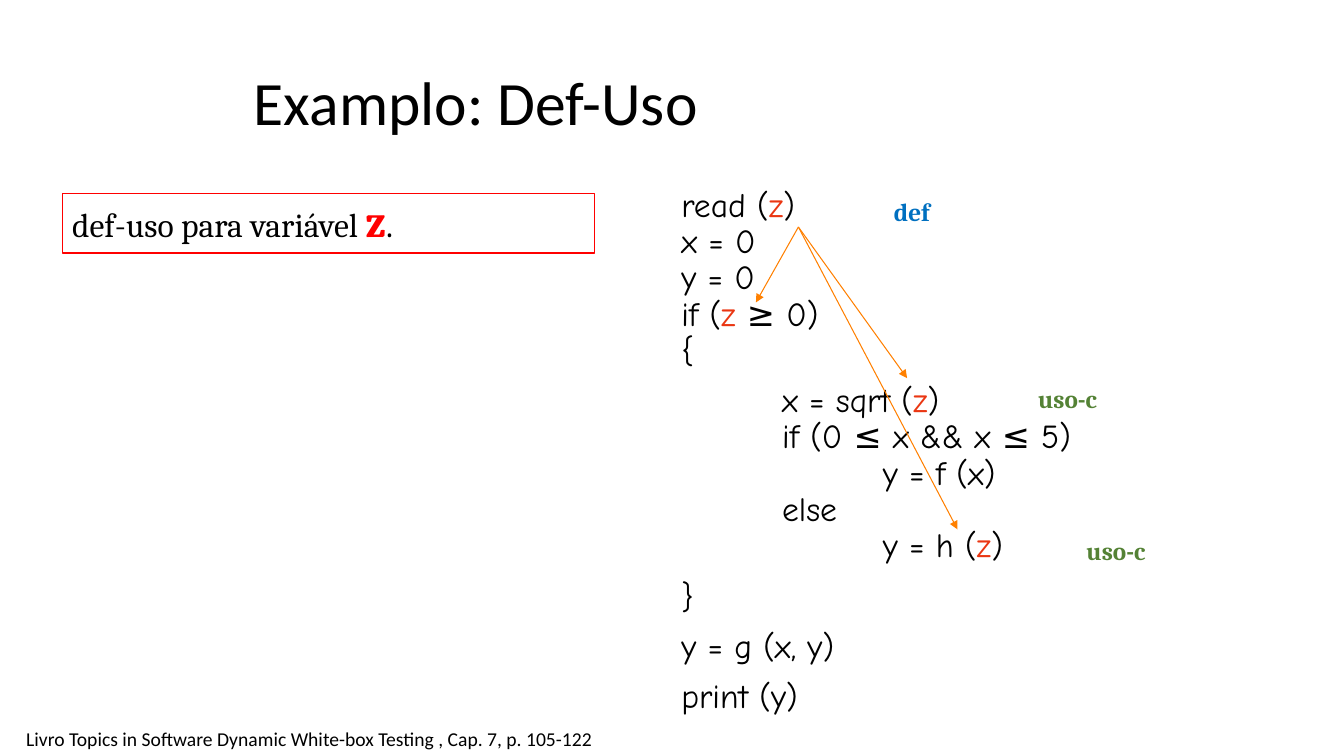
from lxml.etree import SubElement
from pptx import Presentation
from pptx.dml.color import RGBColor
from pptx.enum.shapes import MSO_CONNECTOR, MSO_SHAPE
from pptx.enum.text import MSO_ANCHOR, PP_ALIGN
from pptx.oxml.ns import qn
from pptx.util import Cm, Pt


def color(value):
    return RGBColor.from_string(value)


class DefUseSlide:
    """Holds the slide and the style of its titles, code, labels and arrows."""

    BLACK, RED, VARIABLE, ARROW = "000000", "FF0000", "EA3612", "FF8000"
    DEFINITION, USE = "0070C0", "548235"
    BASE_INDENT, LEVEL_INDENT = 0.64, 2.54

    def __init__(self, presentation):
        self.slide = presentation.slides.add_slide(presentation.slide_layouts[6])

    def style(self, font, size=None, name=None, ink=BLACK, bold=None):
        if size:
            font.size = Pt(size)
        if name:
            font.name = name
        font.bold = bold
        font.color.rgb = color(ink)

    def frame(self, box, wrap=True):
        frame = self.slide.shapes.add_textbox(*map(Cm, box)).text_frame
        frame.word_wrap = wrap
        return frame

    def text(self, box, words, size, name="Calibri", ink=BLACK, bold=None, wrap=False):
        frame = self.frame(box, wrap)
        line = frame.paragraphs[0]
        line.text = words
        self.style(line.font, size, name, ink, bold)
        return frame

    def title(self, box, words):
        heading = self.text(box, words, 44, wrap=True)
        heading.vertical_anchor = MSO_ANCHOR.MIDDLE
        heading.paragraphs[0].line_spacing = 0.9

    def code(self, box, blocks):
        frame = self.frame(box)
        frame.margin_right = 0
        line = frame.paragraphs[0]
        for block_number, block in enumerate(blocks):
            for line_number, (level, words) in enumerate(block):
                if block_number or line_number:
                    line = frame.add_paragraph()
                line.line_spacing = 0.9
                line.space_before = Pt(10 if block_number and not line_number else 0)
                indent = Cm(self.BASE_INDENT + level * self.LEVEL_INDENT)
                line._p.get_or_add_pPr().set("marL", str(indent))
                self.style(line.font, 24, "Comic Neue")
                before, variable, after = words.partition("z")
                for part in filter(None, (before, variable, after)):
                    run = line.add_run()
                    run.text = part
                    if part == "z":
                        run.font.color.rgb = color(self.VARIABLE)

    def framed_topic(self, box, before, variable, after):
        topic = self.slide.shapes.add_shape(MSO_SHAPE.RECTANGLE, *map(Cm, box))
        topic.shadow.inherit = False
        topic.fill.background()
        topic.line.color.rgb = color(self.RED)
        topic.line.width = Pt(1)
        topic.text_frame.word_wrap = True
        topic.text_frame.vertical_anchor = MSO_ANCHOR.TOP
        line = topic.text_frame.paragraphs[0]
        line.alignment = PP_ALIGN.LEFT
        line.line_spacing = 0.9
        line.font.name = "Cambria"
        for words, size, ink, bold in (
            (before, 24, self.BLACK, None),
            (variable, 32, self.RED, True),
            (after, 24, self.BLACK, None),
        ):
            run = line.add_run()
            run.text = words
            self.style(run.font, size, "Cambria", ink, bold)

    def label(self, box, words, ink):
        self.text(box, words, 18, "Cambria", ink, True)

    def arrow(self, start, end):
        link = self.slide.shapes.add_connector(
            MSO_CONNECTOR.STRAIGHT, *map(Cm, (*start, *end))
        )
        link.line.color.rgb = color(self.ARROW)
        link.line.width = Pt(0.75)
        SubElement(link.line._get_or_add_ln(), qn("a:tailEnd"), type="triangle")
        SubElement(link._element.spPr, qn("a:effectLst"))


def main():
    presentation = Presentation()
    presentation.slide_width, presentation.slide_height = Cm(33.87), Cm(19.05)
    page = DefUseSlide(presentation)
    page.title((6.15, 1.07, 21.59, 3.18), "Examplo: Def-Uso")
    page.code(
        (16.28, 4.62, 11.02, 13.59),
        [
            [(0, "read (z)"), (0, "x = 0"), (0, "y = 0"), (0, "if (z ≥ 0)"), (0, "{")],
            [
                (1, "x = sqrt (z)"),
                (1, "if (0 ≤ x && x ≤ 5)"),
                (2, "y = f (x)"),
                (1, "else"),
                (2, "y = h (z)"),
            ],
            [(0, "}")],
            [(0, "y = g (x, y)")],
            [(0, "print (y)")],
        ],
    )
    page.framed_topic((1.57, 4.88, 13.41, 1.5), "def-uso para variável ", "z", ".")
    definition = (20.12, 5.72)
    for use in ((19.05, 7.62), (22.86, 9.53), (24.13, 13.34)):
        page.arrow(definition, use)
    page.label((22.28, 4.83, 1.47, 1.02), "def", page.DEFINITION)
    for left, top in ((25.91, 9.53), (27.13, 13.36)):
        page.label((left, top, 2.24, 1.02), "uso-c", page.USE)
    page.text(
        (0.41, 18.19, 15.06, 0.86),
        "Livro Topics in Software Dynamic White-box Testing , Cap. 7, p. 105-122",
        14,
    )
    presentation.save("out.pptx")


if __name__ == "__main__":
    main()
